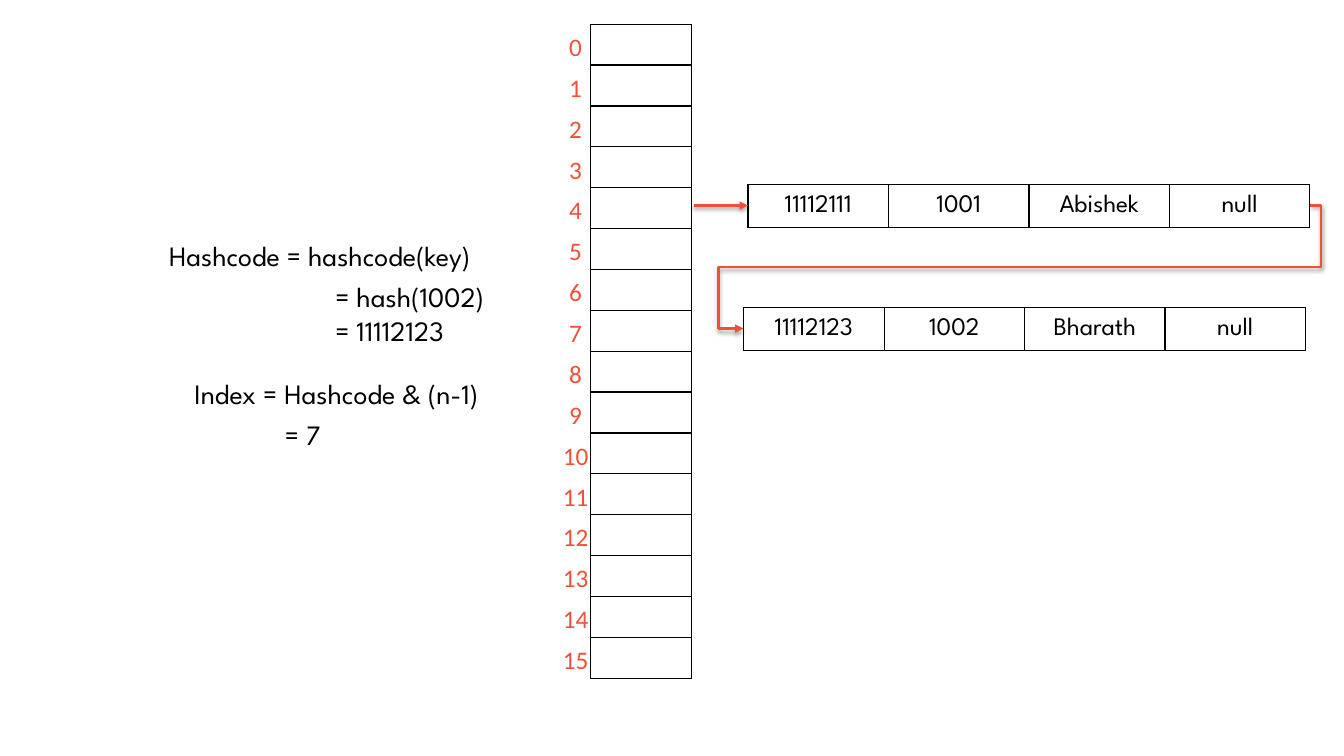
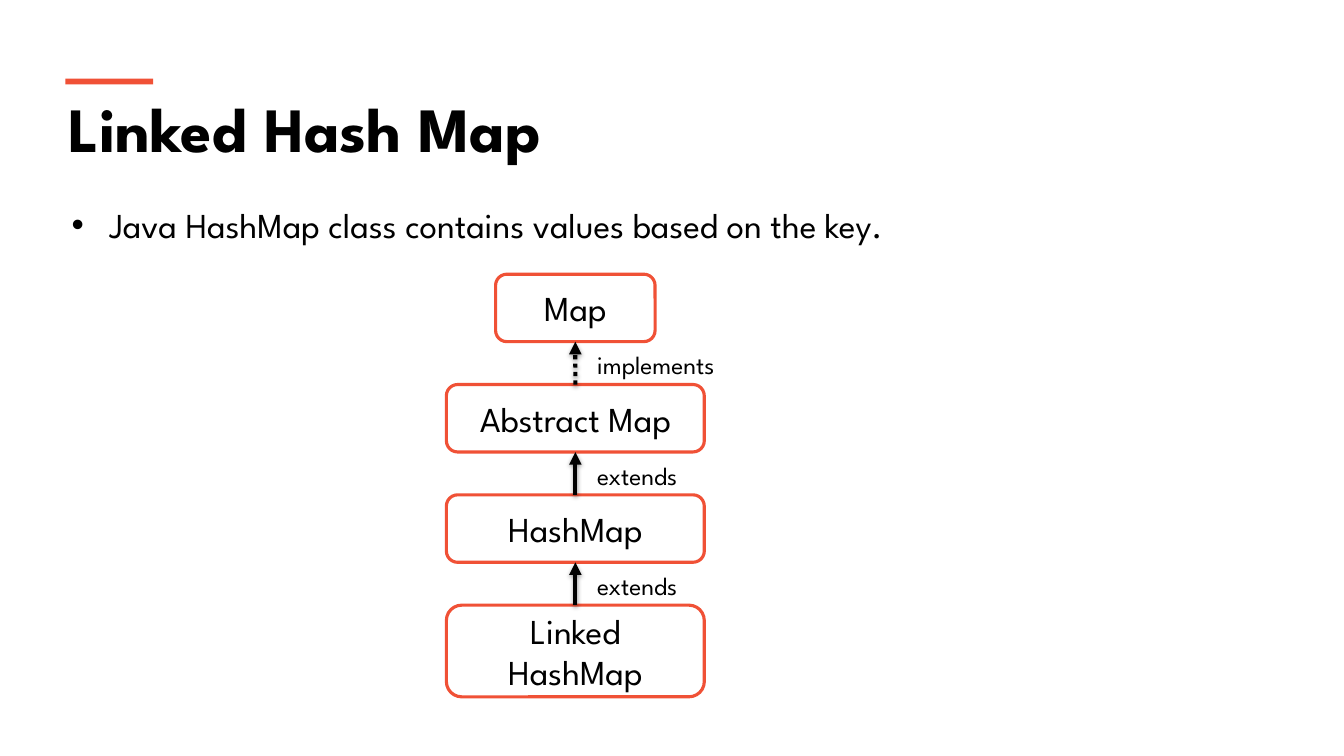
import pptx
import pptx.dml.color
import pptx.enum.dml
import pptx.enum.shapes
import pptx.enum.text
import pptx.oxml.ns
import pptx.util
from lxml import etree

Cm, Pt, qn = pptx.util.Cm, pptx.util.Pt, pptx.oxml.ns.qn
rgb = pptx.dml.color.RGBColor.from_string
Align, Anchor = pptx.enum.text.PP_ALIGN, pptx.enum.text.MSO_ANCHOR
Kind, Form = pptx.enum.shapes.MSO_CONNECTOR, pptx.enum.shapes.MSO_SHAPE

RED, BLACK = "F05136", "000000"
FONT = "League Spartan"


def style(frame, size, hue=BLACK, face=FONT, align=Align.LEFT, bold=False):
    """Format every run and paragraph of a text frame."""
    frame.word_wrap = True
    for para in frame.paragraphs:
        para.alignment = align
        for run in para.runs:
            run.font.size, run.font.name, run.font.bold = Pt(size), face, bold
            run.font.color.rgb = rgb(hue)


def arrow(link, hue, width):
    """Colour a connector and give its end a triangle."""
    link.line.color.rgb = rgb(hue)
    link.line.width = Pt(width)
    etree.SubElement(link.line._get_or_add_ln(), qn("a:tailEnd"), type="triangle")


deck = pptx.Presentation()
deck.slide_width, deck.slide_height = Cm(33.87), Cm(19.05)

# Hash table with two chained nodes
slide = deck.slides.add_slide(deck.slide_layouts[6])
shapes = slide.shapes

# left, top, column width, row height, rows, font, colour, bordered
grids = [
    (14.88, 0.61, 2.54, 1.03, [[""]] * 16, FONT, BLACK, True),
    (13.77, 0.69, 1.47, 1.03, [[str(n)] for n in range(16)], "Calibri", RED, False),
    (18.85, 4.65, 3.54, 1.08, [["11112111", "1001", "Abishek", "null"]], FONT, BLACK, True),
    (18.74, 7.75, 3.54, 1.08, [["11112123", "1002", "Bharath", "null"]], FONT, BLACK, True),
]
for left, top, width, height, rows, face, hue, lined in grids:
    count = len(rows[0])
    table = shapes.add_table(len(rows), count, Cm(left), Cm(top),
                             Cm(width * count), Cm(height * len(rows))).table
    table.first_row = table.horz_banding = False
    for y, row in enumerate(rows):
        table.rows[y].height = Cm(height)
        for x, text in enumerate(row):
            cell = table.cell(y, x)
            cell.text_frame.text = text
            cell.vertical_anchor = Anchor.MIDDLE
            style(cell.text_frame, 18, hue, face, Align.CENTER)
            for side in ("a:lnL", "a:lnR", "a:lnT", "a:lnB"):
                edge = etree.SubElement(cell._tc.get_or_add_tcPr(), qn(side), w=str(Pt(1)))
                if lined:
                    fill = etree.SubElement(edge, qn("a:solidFill"))
                    etree.SubElement(fill, qn("a:srgbClr"), val=BLACK)
                else:
                    etree.SubElement(edge, qn("a:noFill"))
            cell.fill.background()

notes = [
    (4.01, 5.89, 9.1, 1.12, "Hashcode = hashcode(key)"),
    (8.2, 6.93, 5.57, 1.96, "= hash(1002)\n= 11112123"),
    (4.65, 9.37, 8.84, 1.12, "Index = Hashcode & (n-1)"),
    (6.93, 10.39, 6.07, 1.12, "= 7"),
]
for left, top, width, height, text in notes:
    box = shapes.add_textbox(Cm(left), Cm(top), Cm(width), Cm(height))
    box.text_frame.text = text
    style(box.text_frame, 20)

link = shapes.add_connector(Kind.STRAIGHT, Cm(17.48), Cm(5.18), Cm(18.85), Cm(5.18))
arrow(link, RED, 2)

# Five-segment elbow from the first node round to the second
chain = shapes.add_connector(Kind.ELBOW, Cm(33.02), Cm(5.18), Cm(18.74), Cm(8.28))
arrow(chain, RED, 2)
shape = chain._element.spPr.find(qn("a:prstGeom"))
shape.set("prst", "bentConnector5")
bends = shape.find(qn("a:avLst"))
if bends is None:
    bends = etree.SubElement(shape, qn("a:avLst"))
for n, value in enumerate((-1900, 50000, 104400), 1):
    etree.SubElement(bends, qn("a:gd"), name=f"adj{n}", fmla=f"val {value}")

# Class hierarchy
slide = deck.slides.add_slide(deck.slide_layouts[1])
shapes = slide.shapes

title = shapes.title
title.left, title.top, title.width, title.height = Cm(1.47), Cm(2.13), Cm(30.94), Cm(2.18)
title.text_frame.text = "Linked Hash Map"
title.text_frame.vertical_anchor = Anchor.TOP
style(title.text_frame, 45, bold=True)

bar = shapes.add_shape(Form.RECTANGLE, Cm(1.65), Cm(1.98), Cm(2.21), Cm(0.15))
bar.shadow.inherit = False
bar.fill.solid()
bar.fill.fore_color.rgb = rgb(RED)
bar.line.fill.background()

body = slide.placeholders[1]
body.left, body.top, body.width, body.height = Cm(1.55), Cm(4.47), Cm(30.84), Cm(1.73)
body.text_frame.text = "Java HashMap class contains values based on the key."
style(body.text_frame, 25)
point = body.text_frame.paragraphs[0]
point.line_spacing, point.space_before = 1.5, Pt(0)

MID, TOP, STEP = 14.5, 6.91, 2.78
levels = [
    ("Map", 4.02, 1.7, None),
    ("Abstract Map", 6.5, 1.7, "implements"),
    ("HashMap", 6.5, 1.7, "extends"),
    ("Linked HashMap", 6.5, 2.31, "extends"),
]
above = None
for n, (name, width, height, verb) in enumerate(levels):
    top = TOP + n * STEP
    box = shapes.add_shape(Form.ROUNDED_RECTANGLE, Cm(MID - width / 2), Cm(top),
                           Cm(width), Cm(height))
    box.shadow.inherit = False
    box.fill.background()
    box.line.color.rgb = rgb(RED)
    box.line.width = Pt(2.25)
    box.text_frame.text = name
    style(box.text_frame, 25, align=Align.CENTER)
    if above is not None:
        link = shapes.add_connector(Kind.STRAIGHT, 0, 0, 0, 0)
        link.begin_connect(box, 0)
        link.end_connect(above, 2)
        if verb == "implements":
            link.line.dash_style = pptx.enum.dml.MSO_LINE.ROUND_DOT
        arrow(link, BLACK, 3)
        label = shapes.add_textbox(Cm(MID + 0.3), Cm(top - 1), Cm(5.28), Cm(1.02))
        label.text_frame.text = verb
        style(label.text_frame, 18)
    above = box

deck.save("out.pptx")
